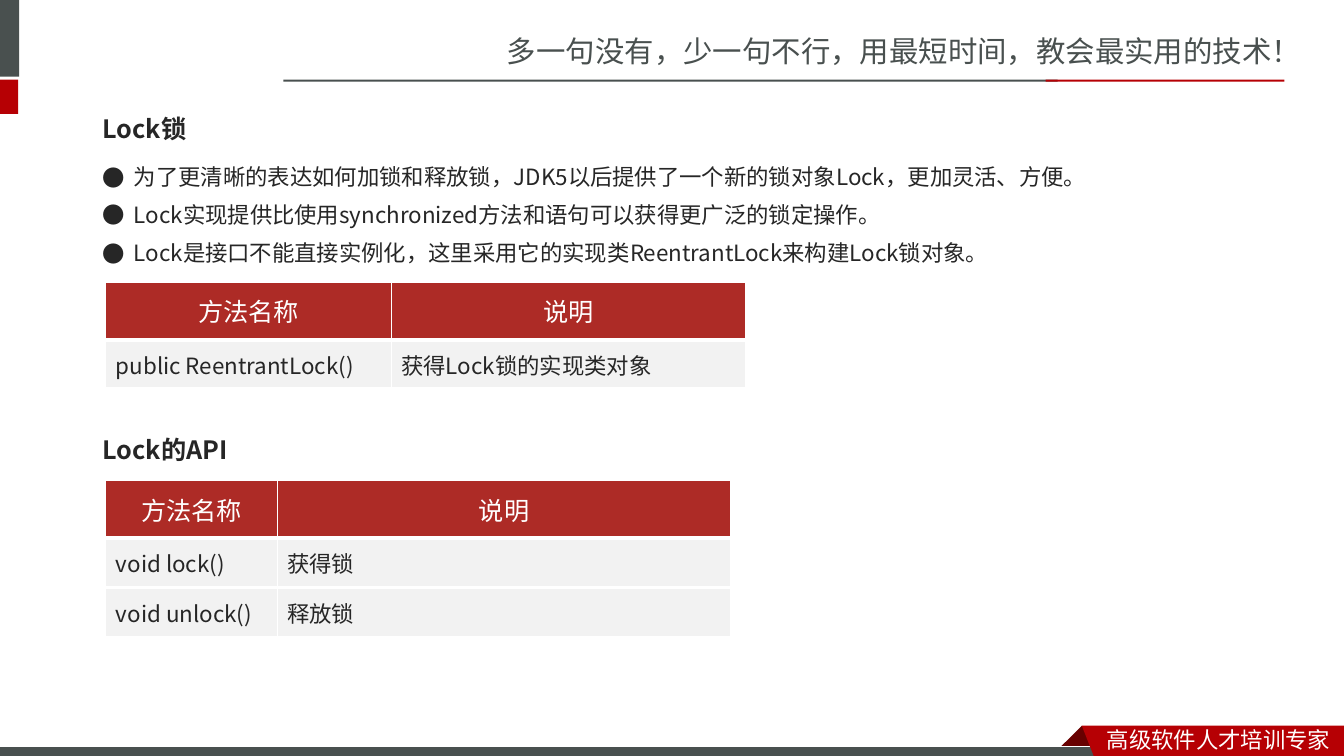
"""Build the Lock slide: slogan header, bullet notes, two method tables and a footer ribbon."""
from typing import NamedTuple, Optional

import lxml.etree
import pptx
import pptx.dml.color
import pptx.enum.shapes
import pptx.enum.text
import pptx.oxml.ns
import pptx.util

RGB = pptx.dml.color.RGBColor
GREY = RGB(0x49, 0x50, 0x4F)
RED = RGB(0xB6, 0x00, 0x04)
DARK_RED = RGB(0x68, 0x00, 0x00)
HEADER_RED = RGB(0xAD, 0x2B, 0x26)
ROW_GREY = RGB(0xF2, 0xF2, 0xF2)
INK = RGB(0x26, 0x26, 0x26)
WHITE = RGB(0xFF, 0xFF, 0xFF)

SANS_SC = "Noto Sans CJK SC"
SANS_JP = "Noto Sans CJK JP"
ROBOTO = "Roboto"

SLIDE_W, SLIDE_H = pptx.util.Inches(13.33), pptx.util.Inches(7.5)
COLS, ROWS = 133.3, 75
MARGIN, TABLE_LEFT = 9.2, 10.5
HEADER_ROW, BODY_ROW = 5.7, 4.9


class Bar(NamedTuple):
    left: float
    top: float
    width: float
    height: float
    fill: RGB
    line: Optional[RGB] = None


class Ribbon(NamedTuple):
    points: list[tuple[float, float]]
    fill: RGB


class Label(NamedTuple):
    left: float
    top: float
    width: float
    height: float
    text: str
    style: dict


class MethodTable(NamedTuple):
    top: float
    widths: list[float]
    rows: list[tuple[str, str]]
    foot: float


HEADING = dict(font=SANS_JP, size=18, color=INK, bold=True, spacing=1.5)
BULLET = dict(font=SANS_SC, size=16, color=INK, spacing=1.5, bullet="●")
HEADER_CELL = dict(font=ROBOTO, size=18, color=WHITE, spacing=pptx.util.Pt(24),
                   align=pptx.enum.text.PP_ALIGN.CENTER)
BODY_CELL = dict(font=SANS_SC, size=16, color=INK)

TOP_BARS = [
    Bar(-0.6, 0, 2.5, 7.6, GREY),
    Bar(-0.6, 7.9, 2.4, 3.4, RED),
    Bar(28.1, 7.9, 76.8, 0.2, GREY),
    Bar(103.7, 7.9, 23.7, 0.2, RED),
]
RIBBON_FOLD = Ribbon([(107.3, 72), (109.5, 74.2), (109.4, 74.3), (105.2, 74.3), (105.1, 74.2)], DARK_RED)
FOOTER_BAR = Bar(-0.1, 74.1, 110, 1.2, GREY, WHITE)
RIBBON_BAND = Ribbon([(107.3, 72), (133.3, 72), (133.3, 75.4), (108.6, 75.3)], RED)

LABELS = [
    Label(49.3, 2.8, 84.1, 4.7, "多一句没有，少一句不行，用最短时间，教会最实用的技术！",
          dict(font=SANS_SC, size=21, color=GREY)),
    Label(108.8, 71.5, 24.5, 3.7, "高级软件人才培训专家", dict(font=SANS_SC, size=16, color=WHITE)),
    Label(MARGIN, 9.2, 68.1, 5.1, "Lock锁", HEADING),
    Label(MARGIN, 14.4, 104.6, 8.6,
          "为了更清晰的表达如何加锁和释放锁，JDK5以后提供了一个新的锁对象Lock，更加灵活、方便。", BULLET),
    Label(MARGIN, 18.1, 122.9, 8.6,
          "Lock实现提供比使用synchronized方法和语句可以获得更广泛的锁定操作。", BULLET),
    Label(MARGIN, 21.9, 135.6, 4.6,
          "Lock是接口不能直接实例化，这里采用它的实现类ReentrantLock来构建Lock锁对象。", BULLET),
    Label(MARGIN, 41.1, 68.1, 5.1, "Lock的API", HEADING),
]

TABLE_HEADER = ("方法名称", "说明")
TABLES = [
    MethodTable(28, [28.3, 35.2], [TABLE_HEADER, ("public ReentrantLock()", "获得Lock锁的实现类对象")], 3),
    MethodTable(47.7, [17, 45], [TABLE_HEADER, ("void lock()", "获得锁"), ("void unlock()", "释放锁")], 1),
]


def x(cols: float) -> int:
    """Turn grid columns into a length."""
    return round(SLIDE_W * cols / COLS)


def y(rows: float) -> int:
    """Turn grid rows into a length."""
    return round(SLIDE_H * rows / ROWS)


def sub(parent, tag: str, **attrs: str):
    """Append a DrawingML child element."""
    return lxml.etree.SubElement(parent, pptx.oxml.ns.qn(tag), attrs)


def write(tf, text: str, *, font: str, size: float, color: RGB, bold: bool = False,
          spacing=None, align=None, bullet: str = "") -> None:
    """Write one formatted paragraph into a text frame."""
    p = tf.paragraphs[0]
    if spacing:
        p.line_spacing = spacing
    if align is not None:
        p.alignment = align
    if bullet:
        pPr = p._p.get_or_add_pPr()
        indent = pptx.util.Inches(0.31)
        pPr.set("marL", str(indent))
        pPr.set("indent", str(-indent))
        sub(pPr, "a:buFont", typeface=font)
        sub(pPr, "a:buChar", char=bullet)
    r = p.add_run()
    r.text = text
    r.font.size = pptx.util.Pt(size)
    r.font.bold = bold
    r.font.color.rgb = color
    r.font.name = font
    sub(r._r.get_or_add_rPr(), "a:ea", typeface=font)


def paint(sp, fill: RGB, line: Optional[RGB] = None) -> None:
    """Give a shape its fill and outline, without a shadow."""
    sp.shadow.inherit = False
    sp.fill.solid()
    sp.fill.fore_color.rgb = fill
    if line is None:
        sp.line.fill.background()
    else:
        sp.line.color.rgb = line
        sp.line.width = pptx.util.Pt(0.75)


def draw_bar(s, bar: Bar) -> None:
    """Draw a plain rectangle."""
    sp = s.shapes.add_shape(pptx.enum.shapes.MSO_SHAPE.RECTANGLE,
                            x(bar.left), y(bar.top), x(bar.width), y(bar.height))
    paint(sp, bar.fill, bar.line)


def draw_ribbon(s, ribbon: Ribbon) -> None:
    """Draw a closed polygon."""
    start, *rest = [(x(col), y(row)) for col, row in ribbon.points]
    builder = s.shapes.build_freeform(*start)
    builder.add_line_segments(rest, close=True)
    paint(builder.convert_to_shape(), ribbon.fill)


def draw_label(s, label: Label) -> None:
    """Draw a wrapping text box."""
    tf = s.shapes.add_textbox(x(label.left), y(label.top), x(label.width), y(label.height)).text_frame
    tf.word_wrap = True
    write(tf, label.text, **label.style)


def draw_table(s, spec: MethodTable) -> None:
    """Draw a method table with white rules between its cells."""
    heights = [HEADER_ROW] + [BODY_ROW] * (len(spec.rows) - 1)
    table = s.shapes.add_table(len(spec.rows), len(spec.widths), x(TABLE_LEFT), y(spec.top),
                               x(sum(spec.widths)), y(sum(heights))).table
    table.horz_banding = False
    for column, width in zip(table.columns, spec.widths):
        column.width = x(width)
    for i, texts in enumerate(spec.rows):
        table.rows[i].height = y(heights[i])
        edges = {"L": 1, "R": 1, "T": 3 if i else 1, "B": spec.foot if i == len(spec.rows) - 1 else 3}
        for j, text in enumerate(texts):
            cell = table.cell(i, j)
            cell.vertical_anchor = pptx.enum.text.MSO_ANCHOR.MIDDLE
            for side, points in edges.items():
                ln = sub(cell._tc.get_or_add_tcPr(), f"a:ln{side}", w=str(pptx.util.Pt(points)))
                sub(sub(ln, "a:solidFill"), "a:srgbClr", val=str(WHITE))
            cell.fill.solid()
            cell.fill.fore_color.rgb = ROW_GREY if i else HEADER_RED
            write(cell.text_frame, text, **(BODY_CELL if i else HEADER_CELL))


def main() -> None:
    """Assemble and save the slide."""
    prs = pptx.Presentation()
    prs.slide_width, prs.slide_height = SLIDE_W, SLIDE_H
    s = prs.slides.add_slide(prs.slide_layouts[6])
    for bar in TOP_BARS:
        draw_bar(s, bar)
    draw_ribbon(s, RIBBON_FOLD)
    draw_bar(s, FOOTER_BAR)
    draw_ribbon(s, RIBBON_BAND)
    for label in LABELS:
        draw_label(s, label)
    for table in TABLES:
        draw_table(s, table)
    prs.save("out.pptx")


if __name__ == "__main__":
    main()
